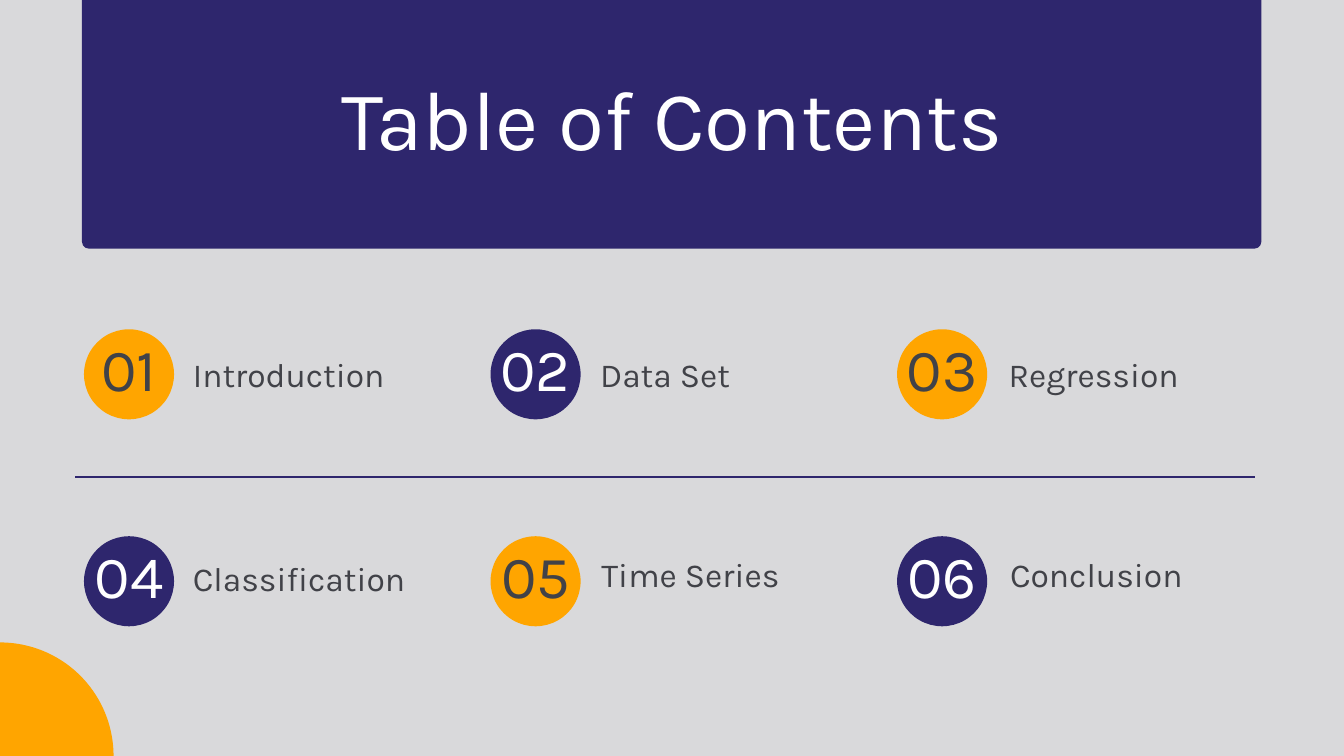
from dataclasses import dataclass

from lxml import etree
from pptx import Presentation
from pptx.dml.color import RGBColor
from pptx.enum.shapes import MSO_CONNECTOR, MSO_SHAPE
from pptx.enum.text import MSO_ANCHOR, MSO_AUTO_SIZE, PP_ALIGN
from pptx.oxml.ns import qn
from pptx.util import Inches, Pt

LEFT, CENTER = PP_ALIGN.LEFT, PP_ALIGN.CENTER
TOP = MSO_ANCHOR.TOP
NO_AUTOFIT = MSO_AUTO_SIZE.NONE
OVAL, ROUNDED = MSO_SHAPE.OVAL, MSO_SHAPE.ROUNDED_RECTANGLE
STRAIGHT = MSO_CONNECTOR.STRAIGHT


@dataclass(frozen=True)
class Theme:
    """Colours, font and type sizes of the deck."""
    background: str = "D9D9DB"
    navy: str = "2E266D"
    orange: str = "FFA500"
    dark: str = "414248"
    white: str = "FFFFFF"
    font: str = "Karla"
    title_size: int = 90
    number_size: int = 64
    label_size: int = 36
    line_ratio: float = 1.4
    rule_width: float = 1.5


THEME = Theme()
COLUMNS = 3
COLUMN_PITCH, ROW_PITCH = 6.05, 3.08
DISC_SIZE = 1.34

# Each entry holds its label and the label's offset from the disc.
ENTRIES = [
    ("Introduction", 1.62, 0.27),
    ("Data Set", 1.63, 0.27),
    ("Regression", 1.66, 0.27),
    ("Classification", 1.62, 0.22),
    ("Time Series", 1.65, 0.16),
    ("Conclusion", 1.68, 0.16),
]


def place(shape, box):
    """Move and size a shape to a box given in inches."""
    shape.left, shape.top, shape.width, shape.height = map(Inches, box)


def write(shape, text, size, color, align):
    """Set one line of text in a frame without insets."""
    frame = shape.text_frame
    frame.word_wrap = True
    frame.auto_size = NO_AUTOFIT
    frame.vertical_anchor = TOP
    frame.margin_left = frame.margin_right = 0
    frame.margin_top = frame.margin_bottom = 0
    para = frame.paragraphs[0]
    para.alignment = align
    para.line_spacing = Pt(size * THEME.line_ratio)
    para.space_before = Pt(0)
    span = para.add_run()
    span.text = text
    span.font.name = THEME.font
    span.font.size = Pt(size)
    span.font.color.rgb = RGBColor.from_string(color)


def add_text(page, box, text, size, color, align):
    """Add a text box holding one line."""
    write(page.shapes.add_textbox(*map(Inches, box)), text, size, color, align)


def add_block(page, kind, box, color):
    """Add a plain filled shape without outline."""
    block = page.shapes.add_shape(kind, *map(Inches, box))
    block.shadow.inherit = False
    block.fill.solid()
    block.fill.fore_color.rgb = RGBColor.from_string(color)
    block.line.fill.background()
    return block


def add_header(page, box):
    """Draw the banner and set the title on top of it."""
    left, top, width, height = box
    banner = add_block(page, ROUNDED, box, THEME.navy)
    banner.adjustments[0] = 0.02
    title = page.shapes.title
    banner._element.addnext(title._element)
    place(title, (left + 2.96, top + 2.19, width - 5.9, 1.89))
    write(title, "Table of Contents", THEME.title_size, THEME.white, CENTER)


def add_divider(page, left, top, width):
    """Draw the rule between the two rows."""
    rule = page.shapes.add_connector(
        STRAIGHT, Inches(left), Inches(top), Inches(left + width), Inches(top))
    rule.line.color.rgb = RGBColor.from_string(THEME.navy)
    rule.line.width = Pt(THEME.rule_width)
    etree.SubElement(rule._element.spPr, qn("a:effectLst"))


def add_entry(page, box, index):
    """Draw a numbered disc with its label to the right."""
    left, top, width, height = box
    label, shift_x, shift_y = ENTRIES[index]
    fill, ink = ((THEME.navy, THEME.white) if index % 2
                 else (THEME.orange, THEME.dark))
    add_block(page, OVAL, box, fill)
    add_text(page, (left - 0.02, top - 0.14, width + 0.04, height),
             f"{index + 1:02d}", THEME.number_size, ink, CENTER)
    add_text(page, (left + shift_x, top + shift_y, 3.92, 0.75),
             label, THEME.label_size, THEME.dark, LEFT)


def add_contents(page, left, top):
    """Lay the entries out in a grid from its top left corner."""
    for index in range(len(ENTRIES)):
        row, column = divmod(index, COLUMNS)
        box = (left + column * COLUMN_PITCH, top + row * ROW_PITCH,
               DISC_SIZE, DISC_SIZE)
        add_entry(page, box, index)


def main():
    """Build the contents slide and save the deck."""
    deck = Presentation()
    deck.slide_width, deck.slide_height = Inches(20), Inches(11.25)
    page = deck.slides.add_slide(deck.slide_layouts[5])
    page.background.fill.solid()
    page.background.fill.fore_color.rgb = RGBColor.from_string(THEME.background)
    add_header(page, (1.22, -1.45, 17.55, 5.15))
    add_block(page, OVAL, (-1.69, 9.56, 3.38, 3.38), THEME.orange)
    add_divider(page, 1.12, 7.1, 17.56)
    add_contents(page, 1.25, 4.9)
    deck.save("out.pptx")


if __name__ == "__main__":
    main()
